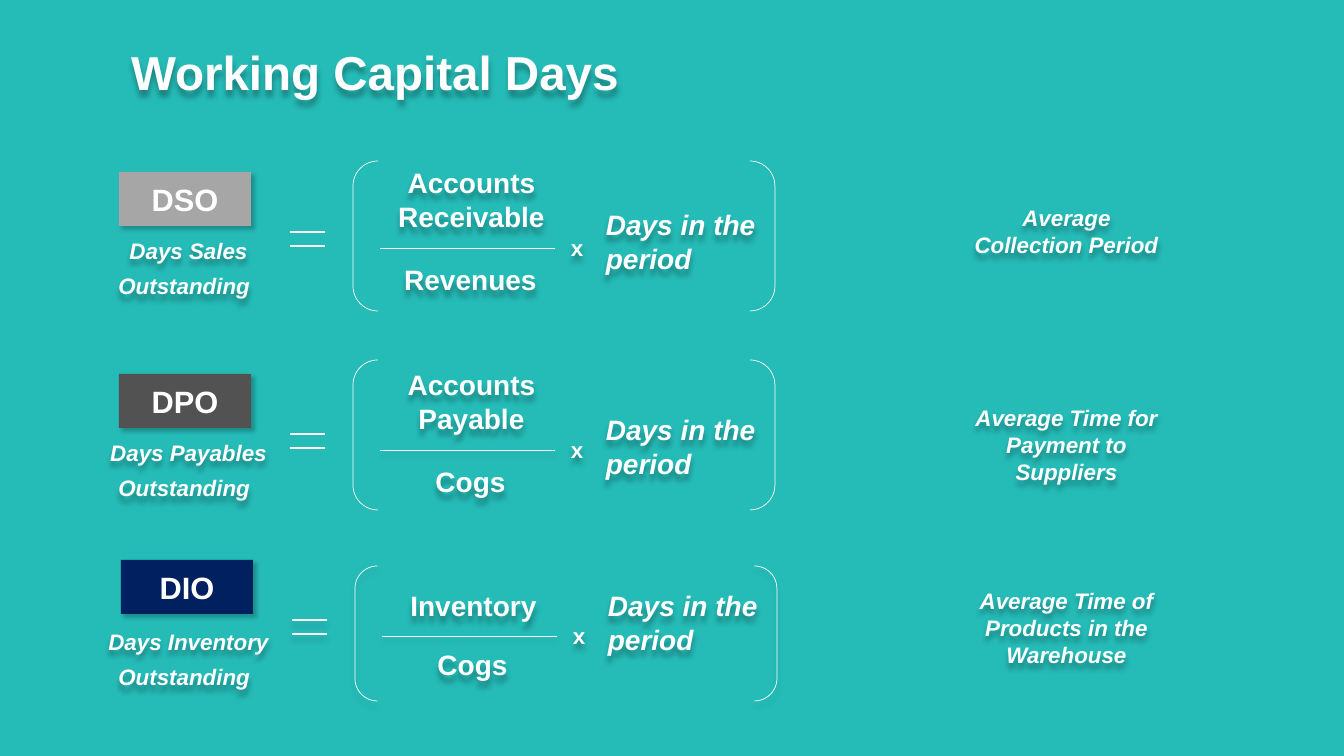
from lxml import etree
from pptx import Presentation
from pptx import util as u
from pptx.dml.color import RGBColor
from pptx.enum import shapes, text
from pptx.oxml import ns

FONT, WHITE, TEAL = "Arial", "FFFFFF", "25BBB7"
TITLE = "Working Capital Days"
FACTOR = "Days in the period"

# Rows hang on their fraction bar; other heights are offsets from it.
ROWS = [
    {"code": "DSO", "color": "A6A6A6", "name": "Days Sales Outstanding",
     "top": "Accounts Receivable", "bottom": "Revenues",
     "meaning": "Average Collection Period",
     "shift": 0, "bar": 248, "name_dy": -16, "top_dy": -87, "bottom_dy": 10,
     "bracket": (-87, 150), "factor_dy": -45, "meaning_box": (199, 65),
     "shadowed": ()},
    {"code": "DPO", "color": "525252", "name": "Days Payables Outstanding",
     "top": "Accounts Payable", "bottom": "Cogs",
     "meaning": "Average Time for Payment to Suppliers",
     "shift": 0, "bar": 450, "name_dy": -16, "top_dy": -87, "bottom_dy": 10,
     "bracket": (-90, 150), "factor_dy": -42, "meaning_box": (399, 92),
     "shadowed": ("bar",)},
    {"code": "DIO", "color": "002060", "name": "Days Inventory Outstanding",
     "top": "Inventory", "bottom": "Cogs",
     "meaning": "Average Time of Products in the Warehouse",
     "shift": 2, "bar": 636, "name_dy": -13, "top_dy": -52, "bottom_dy": 7,
     "bracket": (-70, 135), "factor_dy": -52, "meaning_box": (582, 92),
     "shadowed": ("bar", "bracket", "equals")},
]

# Shadows: opacity %, blur pt, distance pt, angle in degrees
TEXT_SHADOW = (30, 4, 4, 90)
LINE_SHADOW = (14, 4, 4, 90)
TILE_SHADOW = (23, 3, 3, 45)


def px(pixels):
    """Turn pixels into EMU."""
    return u.Emu(round(pixels * 914400 / 100.8))


def rgb(color):
    """Turn a hex string into a colour."""
    return RGBColor.from_string(color)


def set_shadow(shape, shadow=None):
    """Close the shape properties with an outer shadow, or with none."""
    effects = etree.SubElement(shape._element.spPr, ns.qn("a:effectLst"))
    if shadow:
        opacity, blur, distance, angle = shadow
        outer = etree.SubElement(
            effects, ns.qn("a:outerShdw"), blurRad=str(u.Pt(blur)),
            dist=str(u.Pt(distance)), dir=str(angle * 60000),
            algn="ctr", rotWithShape="0")
        color = etree.SubElement(outer, ns.qn("a:srgbClr"), val="000000")
        etree.SubElement(color, ns.qn("a:alpha"), val=str(opacity * 1000))


def add_run(paragraph, words, size, italic=False):
    """Add one bold white run."""
    run = paragraph.add_run()
    run.text = words
    run.font.name, run.font.size = FONT, u.Pt(size)
    run.font.bold, run.font.italic = True, italic
    run.font.color.rgb = rgb(WHITE)


def write(shape, words, size, italic=False, centered=True,
          anchor=text.MSO_ANCHOR.TOP):
    """Write wrapped text into a shape and return its paragraph."""
    frame = shape.text_frame
    frame.word_wrap, frame.vertical_anchor = True, anchor
    paragraph = frame.paragraphs[0]
    paragraph.alignment = (text.PP_ALIGN.CENTER if centered
                           else text.PP_ALIGN.LEFT)
    add_run(paragraph, words, size, italic)
    return paragraph


def add_label(slide, box, words, size, italic=False, centered=True):
    """Add a text box with shadowed words."""
    label = slide.shapes.add_textbox(*map(px, box))
    label.fill.background()
    set_shadow(label, TEXT_SHADOW)
    paragraph = write(label, words, size, italic, centered)
    label.text_frame.auto_size = text.MSO_AUTO_SIZE.SHAPE_TO_FIT_TEXT
    return paragraph


def add_rule(slide, left, right, y, width, shadow):
    """Add a horizontal white line."""
    rule = slide.shapes.add_connector(
        shapes.MSO_CONNECTOR.STRAIGHT, px(left), px(y), px(right), px(y))
    rule.line.color.rgb, rule.line.width = rgb(WHITE), u.Pt(width)
    set_shadow(rule, shadow)


def add_tile(slide, box, words, color):
    """Add the filled tile that carries a ratio's short name."""
    tile = slide.shapes.add_shape(shapes.MSO_SHAPE.RECTANGLE, *map(px, box))
    tile.fill.solid()
    tile.fill.fore_color.rgb = rgb(color)
    tile.line.fill.background()
    set_shadow(tile, TILE_SHADOW)
    write(tile, words, 22, anchor=text.MSO_ANCHOR.MIDDLE)


def add_brackets(slide, box, shadow):
    """Add the pair of brackets around a formula."""
    brackets = slide.shapes.add_shape(
        shapes.MSO_SHAPE.DOUBLE_BRACKET, *map(px, box))
    brackets.fill.background()
    brackets.line.color.rgb, brackets.line.width = rgb(WHITE), u.Pt(0.5)
    set_shadow(brackets, shadow)


def add_row(slide, row):
    """Add one ratio: tile, name, formula and meaning."""
    x, bar = row["shift"], row["bar"]
    shadows = {part: LINE_SHADOW for part in row["shadowed"]}
    add_rule(slide, 380 + x, 555 + x, bar, 0.5, shadows.get("bar"))
    bracket_dy, bracket_height = row["bracket"]
    add_brackets(slide, (353 + x, bar + bracket_dy, 422, bracket_height),
                 shadows.get("bracket"))
    for dy in (-16, -2):
        add_rule(slide, 290 + x, 325 + x, bar + dy, 1.75,
                 shadows.get("equals"))
    add_tile(slide, (119 + x, bar - 76, 132, 54), row["code"], row["color"])
    name = add_label(slide, (79, bar + row["name_dy"], 219, 75),
                     row["name"], 16, italic=True)
    add_run(name, " ", 22)
    top_height = 78 if " " in row["top"] else 44
    add_label(slide, (362 + x, bar + row["top_dy"], 219, top_height),
              row["top"], 20)
    add_label(slide, (361 + x, bar + row["bottom_dy"], 219, 44),
              row["bottom"], 20)
    add_label(slide, (561 + x, bar - 19, 49, 37), "x", 16, centered=False)
    add_label(slide, (596 + x, bar + row["factor_dy"], 225, 78),
              FACTOR, 20, italic=True, centered=False)
    meaning_y, meaning_height = row["meaning_box"]
    add_label(slide, (957, meaning_y, 219, meaning_height),
              row["meaning"], 16, italic=True)


def add_title(slide):
    """Place and format the title."""
    title = slide.shapes.title
    title.left, title.top, title.width, title.height = map(
        px, (121, 38, 670, 68))
    title.fill.background()
    set_shadow(title, TEXT_SHADOW)
    write(title, TITLE, 34, centered=False)
    title.text_frame.auto_size = text.MSO_AUTO_SIZE.SHAPE_TO_FIT_TEXT


presentation = Presentation()
presentation.slide_width, presentation.slide_height = px(1344), px(756)
slide = presentation.slides.add_slide(presentation.slide_layouts[5])
slide.background.fill.solid()
slide.background.fill.fore_color.rgb = rgb(TEAL)
add_title(slide)
for row in ROWS:
    add_row(slide, row)
presentation.save("out.pptx")
